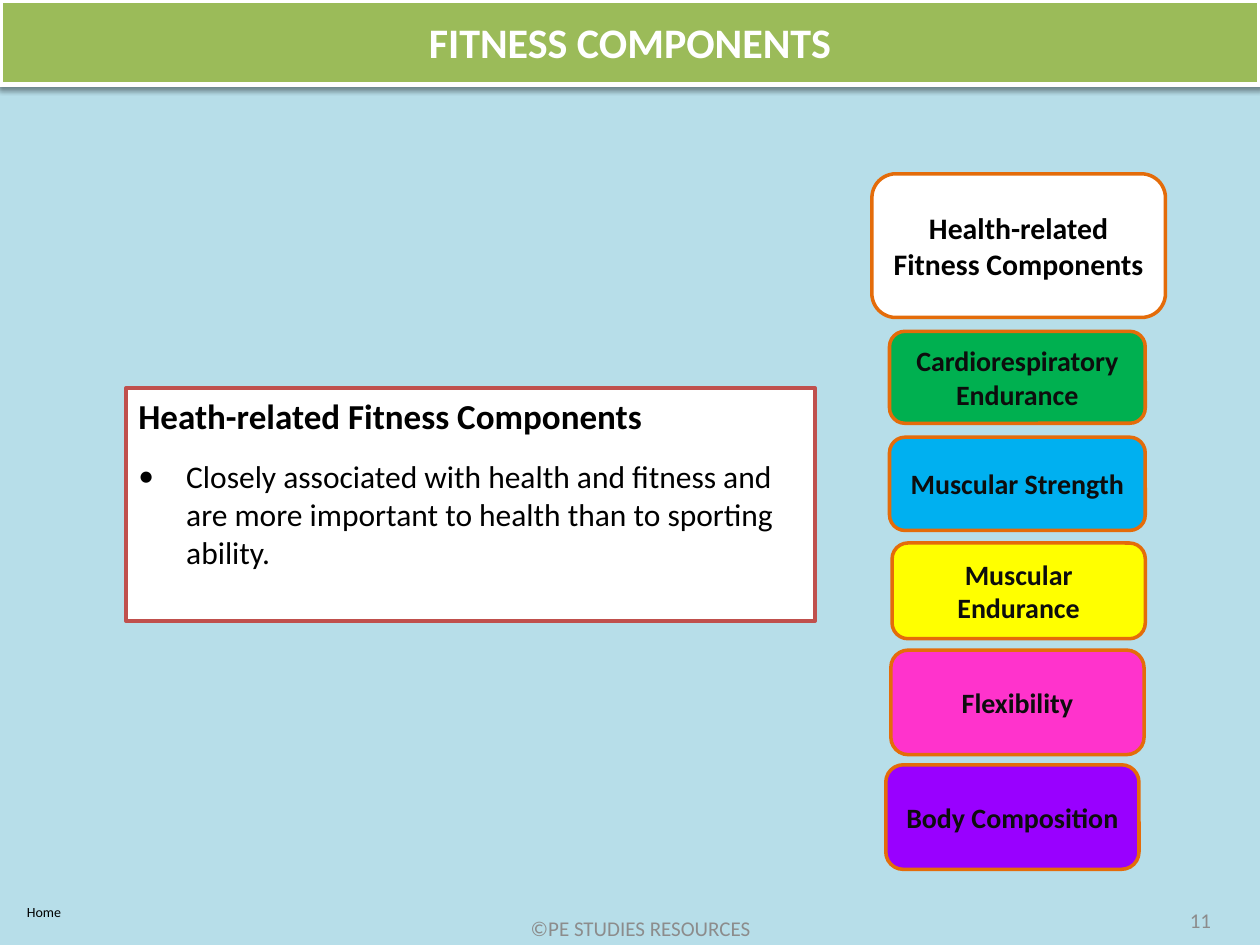
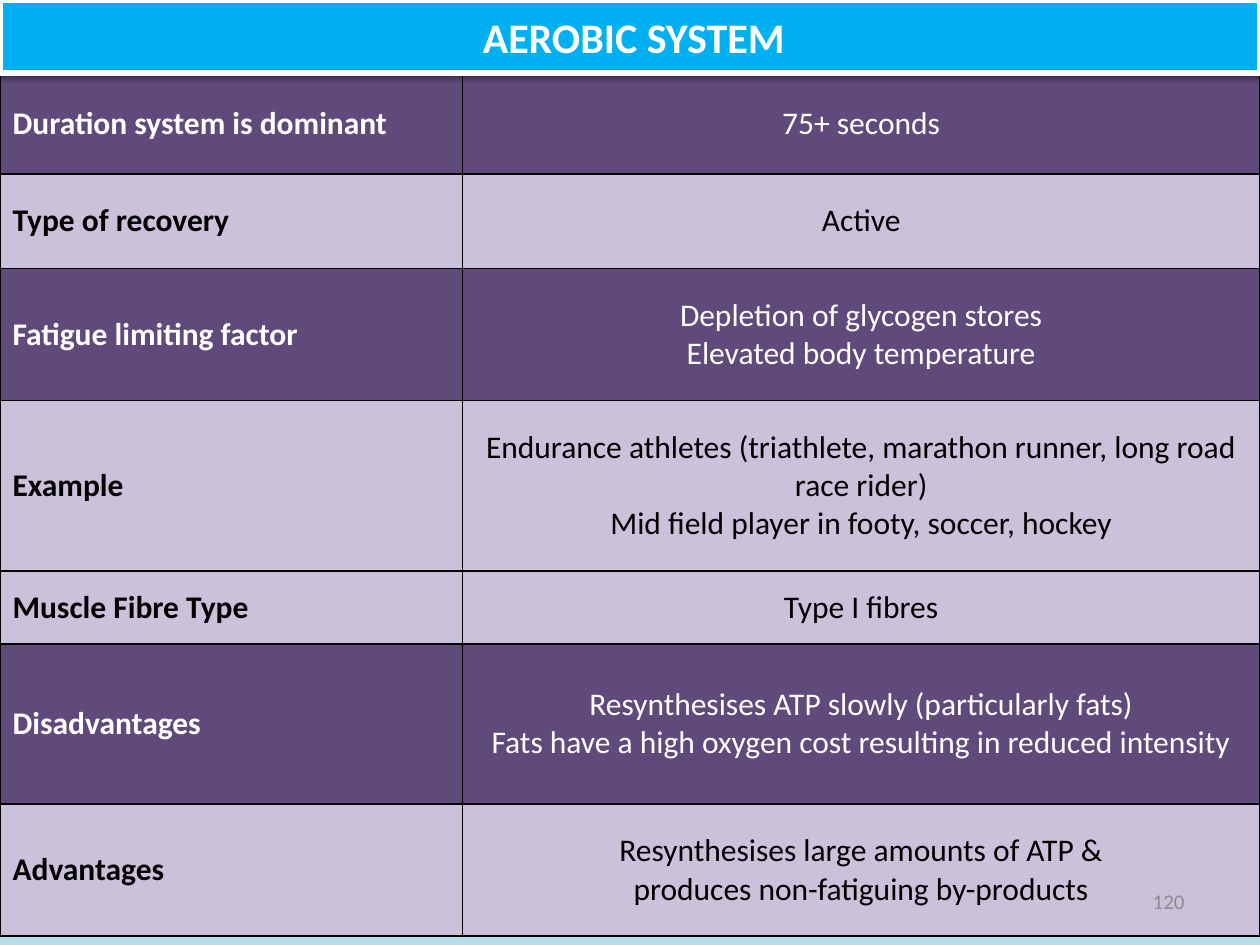
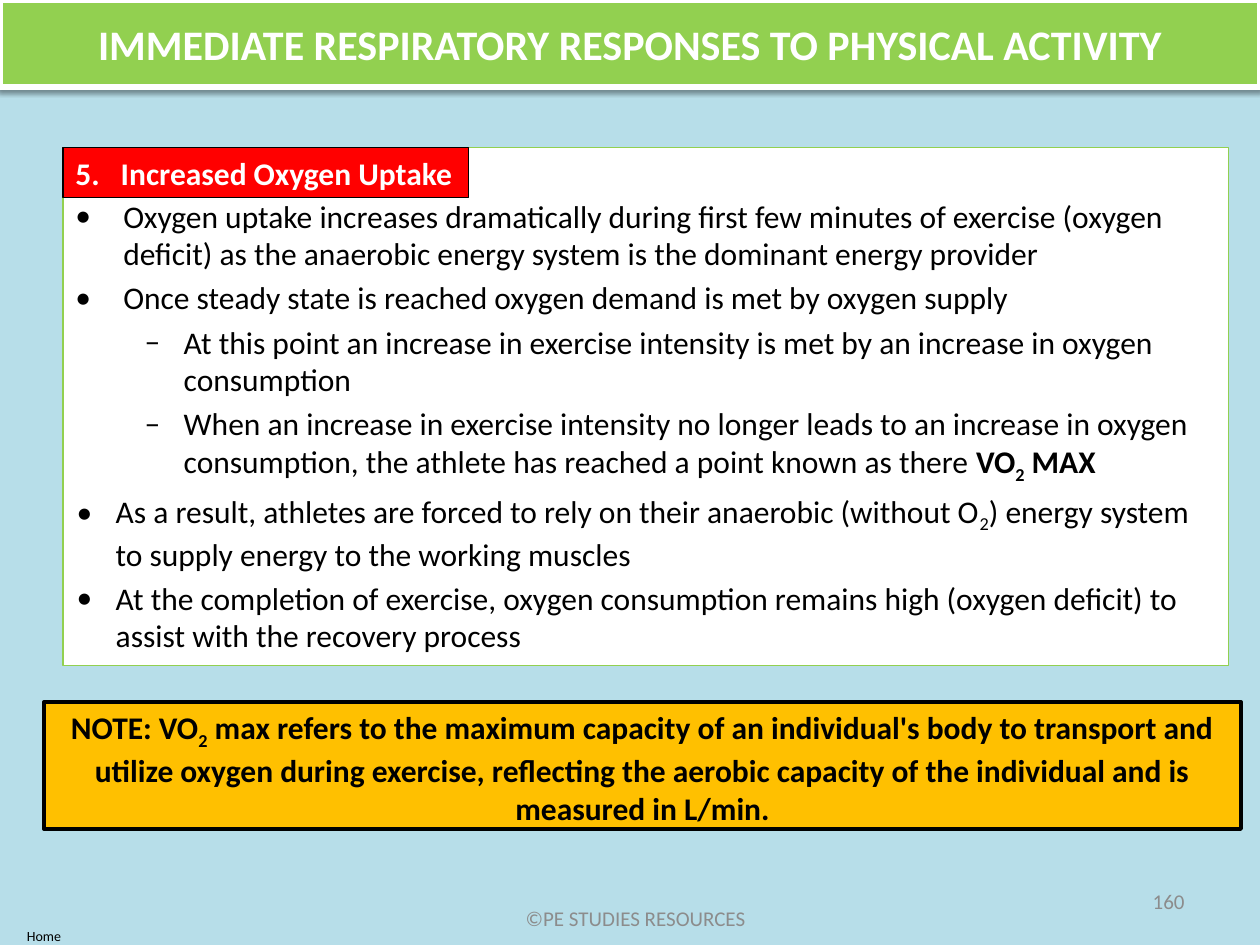
import pptx
import pptx.dml.color
import pptx.enum.shapes
import pptx.enum.text
import pptx.oxml.ns
import pptx.util
from lxml import etree

Inches, Pt = pptx.util.Inches, pptx.util.Pt
qn = pptx.oxml.ns.qn
Shape = pptx.enum.shapes.MSO_SHAPE
Align = pptx.enum.text.PP_ALIGN
Anchor = pptx.enum.text.MSO_ANCHOR

FONT = "Calibri"
SKY, WHITE, BLACK, GREY = "B7DEE9", "FFFFFF", "000000", "8C8C8C"
ORANGE, INK = "E46C0A", "0D0D0D"
DARK, PALE = "604A7B", "CCC1DA"
WIDE, HIGH = 10, 7.5


def shade(code):
    return pptx.dml.color.RGBColor.from_string(code)


def node(parent, tag, **values):
    return etree.SubElement(parent, qn(tag), {k: str(v) for k, v in values.items()})


def write(frame, text, size=18, color=BLACK, bold=False, align=Align.LEFT,
          before=0, mark=None, left=0, hang=0):
    """Add a paragraph; text is a string or (string, style) pieces: b bold, s subscript."""
    par = frame.paragraphs[-1]
    if par.runs:
        par = frame.add_paragraph()
    par.alignment = align
    if before:
        par.space_before = Pt(before)
    props = par._p.get_or_add_pPr()
    props.set("marL", str(Inches(left)))
    props.set("indent", str(Inches(-hang)))
    if mark:
        node(props, "a:buFont", typeface=FONT)
        node(props, "a:buChar", char=mark)
    for words, style in [(text, "")] if isinstance(text, str) else text:
        run = par.add_run()
        run.text = words
        run.font.name, run.font.size = FONT, Pt(size)
        run.font.bold = bold or "b" in style
        run.font.color.rgb = shade(color)
        if "s" in style:
            run._r.get_or_add_rPr().set("baseline", "-25000")


def panel(slide, at, fill, line, weight, kind=Shape.RECTANGLE, anchor=Anchor.TOP):
    shape = slide.shapes.add_shape(kind, *map(Inches, at))
    shape.shadow.inherit = False
    shape.fill.solid()
    shape.fill.fore_color.rgb = shade(fill)
    shape.line.color.rgb = shade(line)
    shape.line.width = Pt(weight)
    shape.text_frame.word_wrap = True
    shape.text_frame.vertical_anchor = anchor
    return shape


def label(slide, at, text, anchor=Anchor.MIDDLE, **style):
    frame = slide.shapes.add_textbox(*map(Inches, at)).text_frame
    frame.word_wrap = True
    frame.vertical_anchor = anchor
    write(frame, text, **style)


# Shared parts
def banner(slide, text, fill, height, left=0):
    shape = panel(slide, (0, 0, WIDE, height), fill, WHITE, 3, anchor=Anchor.MIDDLE)
    effects = shape._element.spPr.find(qn("a:effectLst"))
    cast = node(effects, "a:outerShdw", blurRad=Pt(3.1), dist=Pt(1.6),
                dir=5400000, rotWithShape=0)
    node(node(cast, "a:srgbClr", val=BLACK), "a:alpha", val=38000)
    write(shape.text_frame, text, size=24, color=WHITE, bold=True,
          align=Align.CENTER, left=left)


def number(slide, left, top, text):
    label(slide, (left, top, 2.33, 0.4), text, size=12, color=GREY, align=Align.RIGHT)


def credit(slide, left, top):
    label(slide, (left, top, 3.17, 0.4), "©PE STUDIES RESOURCES",
          size=12, color=GREY, align=Align.CENTER)


def home(slide, top):
    label(slide, (0, top, 0.7, 0.24), "Home", anchor=Anchor.TOP, size=8,
          align=Align.CENTER)


# Fitness components
def define(slide, at):
    frame = panel(slide, at, WHITE, "C0504D", 2).text_frame
    write(frame, "Heath-related Fitness Components", size=20, bold=True)
    write(frame, "Closely associated with health and fitness and are more important "
          "to health than to sporting ability.", before=12, mark="•", left=0.38, hang=0.38)


PILLS = [  # text, offset x, offset y, width, height, fill
    ("Cardiorespiratory Endurance", 0.14, 1.25, 2.03, 0.73, "00B050"),
    ("Muscular Strength", 0.14, 2.09, 2.03, 0.74, "00B0F0"),
    ("Muscular Endurance", 0.16, 2.93, 2.01, 0.76, "FFFF00"),
    ("Flexibility", 0.15, 3.78, 2.01, 0.83, "FF33CC"),
    ("Body Composition", 0.11, 4.69, 2.01, 0.83, "9900FF"),
]


def stack(slide, left, top):
    def pill(text, x, y, width, height, fill, size=16, color=INK):
        shape = panel(slide, (left + x, top + y, width, height), fill, ORANGE, 2,
                      Shape.ROUNDED_RECTANGLE, Anchor.MIDDLE)
        write(shape.text_frame, text, size=size, color=color, bold=True,
              align=Align.CENTER)

    pill("Health-related Fitness Components", 0, 0, 2.33, 1.14, WHITE, 17, BLACK)
    for item in PILLS:
        pill(*item)


def fitness(slide):
    credit(slide, 3.5, 7.17)
    number(slide, 7.38, 7.1, "11")
    home(slide, 7.12)
    define(slide, (1, 3.08, 5.47, 1.85))
    stack(slide, 6.92, 1.38)
    banner(slide, "FITNESS COMPONENTS", "9BBB59", 0.67)


# Aerobic system
FACTS = [  # height, fill, heading, lines
    (0.79, DARK, "Duration system is dominant", ["75+ seconds"]),
    (0.75, PALE, "Type of recovery", ["Active"]),
    (1.05, DARK, "Fatigue limiting factor",
     ["Depletion of glycogen stores", "Elevated body temperature"]),
    (1.35, PALE, "Example",
     ["Endurance athletes (triathlete, marathon runner, long road race rider)",
      "Mid field player in footy, soccer, hockey"]),
    (0.58, PALE, "Muscle Fibre Type", ["Type I fibres"]),
    (1.27, DARK, "Disadvantages",
     ["Resynthesises ATP slowly (particularly fats)",
      "Fats have a high oxygen cost resulting in reduced intensity"]),
    (1.05, PALE, "Advantages",
     ["Resynthesises large amounts of ATP &", "produces non-fatiguing by-products"]),
]


def fence(cell):
    props = cell._tc.get_or_add_tcPr()
    for side in ("a:lnL", "a:lnR", "a:lnT", "a:lnB"):
        edge = node(props, side, w=Pt(1))
        node(node(edge, "a:solidFill"), "a:srgbClr", val=BLACK)


def grid(slide, at):
    table = slide.shapes.add_table(len(FACTS), 2, *map(Inches, at)).table
    for column, width in zip(table.columns, (3.67, 6.33)):
        column.width = Inches(width)
    for row, (height, fill, head, lines) in zip(table.rows, FACTS):
        row.height = Inches(height)
        color = WHITE if fill == DARK else BLACK
        for cell in row.cells:
            fence(cell)
            cell.fill.solid()
            cell.fill.fore_color.rgb = shade(fill)
            cell.vertical_anchor = Anchor.MIDDLE
        write(row.cells[0].text_frame, head, color=color, bold=True)
        for line in lines:
            write(row.cells[1].text_frame, line, color=color, align=Align.CENTER)


def aerobic(slide):
    grid(slide, (0, 0.59, WIDE, 6.84))
    banner(slide, "AEROBIC SYSTEM", "00B0F0", 0.58, left=0.06)
    number(slide, 7.17, 6.95, "120")


# Respiratory responses
MAIN = dict(mark="•", left=0.38, hang=0.38)
SUB = dict(mark="–", left=0.86, hang=0.31)
LAST = dict(mark="•", left=0.32, hang=0.31)
POINTS = [
    (MAIN, "Oxygen uptake increases dramatically during first few minutes of exercise "
     "(oxygen deficit) as the anaerobic energy system is the dominant energy provider"),
    (MAIN, "Once steady state is reached oxygen demand is met by oxygen supply"),
    (SUB, "At this point an increase in exercise intensity is met by an increase in "
     "oxygen consumption"),
    (SUB, [("When an increase in exercise intensity no longer leads to an increase in "
            "oxygen consumption, the athlete has reached a point known as there ", ""),
           ("VO", "b"), ("2", "bs"), (" MAX", "b")]),
    (LAST, [("As a result, athletes are forced to rely on their anaerobic (without O", ""),
            ("2", "s"),
            (") energy system to supply energy to the working muscles", "")]),
    (LAST, "At the completion of exercise, oxygen consumption remains high (oxygen "
     "deficit) to assist with the recovery process"),
]
NOTE = [("NOTE: VO", ""), ("2", "s"),
        (" max refers to the maximum capacity of an individual's body to transport and "
         "utilize oxygen during exercise, reflecting the aerobic capacity of the "
         "individual and is measured in L/min.", "")]


def points(slide, at):
    frame = panel(slide, at, WHITE, "92D050", 0.75).text_frame
    frame.margin_top = Inches(0.39)
    for place, (style, text) in enumerate(POINTS):
        write(frame, text, before=3.6 if place else 0, **style)


def tag(slide, left, top):
    shape = panel(slide, (left, top, 3.22, 0.4), "FF0000", BLACK, 0.75)
    write(shape.text_frame, "5.\tIncreased Oxygen Uptake", color=WHITE, bold=True,
          left=0.36, hang=0.36)


def note(slide, at):
    shape = panel(slide, at, "FFC000", BLACK, 2)
    write(shape.text_frame, NOTE, bold=True, align=Align.CENTER)


def lungs(slide):
    left, top = 0.5, 1.17
    points(slide, (left, top, 9.25, 4.11))
    number(slide, 7.17, 6.95, "160")
    note(slide, (0.35, 5.57, 9.5, 1.01))
    credit(slide, 3.46, 7.09)
    home(slide, 7.31)
    banner(slide, "IMMEDIATE RESPIRATORY RESPONSES TO PHYSICAL ACTIVITY", "92D050", 0.69)
    tag(slide, left, top)


def main():
    deck = pptx.Presentation()
    deck.slide_width, deck.slide_height = Inches(WIDE), Inches(HIGH)
    for build in (fitness, aerobic, lungs):
        slide = deck.slides.add_slide(deck.slide_layouts[6])
        slide.background.fill.solid()
        slide.background.fill.fore_color.rgb = shade(SKY)
        build(slide)
    deck.save("out.pptx")


if __name__ == "__main__":
    main()
